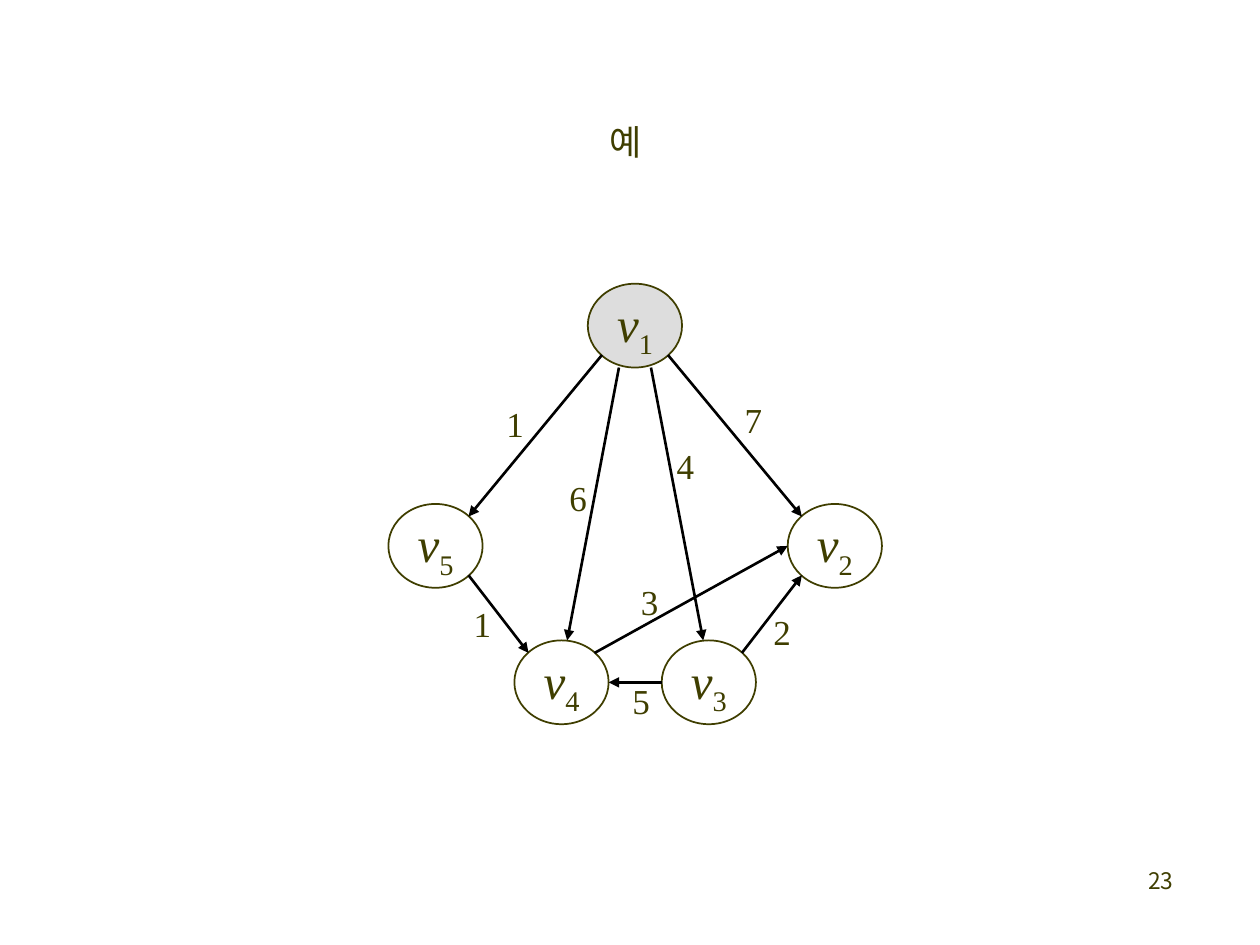
from dataclasses import dataclass

from pptx import Presentation
from pptx import util as u
from pptx.dml.color import RGBColor
from pptx.enum import shapes, text
from pptx.oxml import ns, xmlchemy


@dataclass(frozen=True)
class Theme:
    ink: RGBColor = RGBColor(0x3F, 0x3E, 0x00)
    edge: RGBColor = RGBColor(0, 0, 0)
    source: RGBColor = RGBColor(0xDD, 0xDD, 0xDD)
    serif: str = "Times New Roman"
    sans: str = "Noto Sans CJK KR"
    title_size: int = 20
    node_size: int = 28
    weight_size: int = 20
    number_size: int = 13


THEME = Theme()
NODE_WIDTH, NODE_HEIGHT = 1.9, 1.69
NODES = {  # left and top in cm
    1: (11.85, 5.72),
    2: (15.88, 10.16),
    3: (13.34, 12.91),
    4: (10.37, 12.91),
    5: (7.83, 10.16),
}
# Points on a node, as fractions of its width and height
NEAR, FAR = 0.15, 0.85
TOP_LEFT, TOP_RIGHT = (NEAR, NEAR), (FAR, NEAR)
BOTTOM_LEFT, BOTTOM_RIGHT = (NEAR, FAR), (FAR, FAR)
LEFT, RIGHT = (0, 0.5), (1, 0.5)
EDGES = [  # from node, its point, to node, its point, weight, weight position
    (1, BOTTOM_RIGHT, 2, TOP_LEFT, "7", (14.76, 8.0)),
    (1, BOTTOM_LEFT, 5, TOP_RIGHT, "1", (9.96, 8.08)),
    (5, BOTTOM_RIGHT, 4, TOP_LEFT, "1", (9.3, 12.12)),
    (3, TOP_RIGHT, 2, BOTTOM_LEFT, "2", (15.34, 12.27)),
    (3, LEFT, 4, RIGHT, "5", (12.5, 13.67)),
    (1, (0.33, 1), 4, (0.56, 0), "6", (11.23, 9.58)),
    (1, (0.67, 1), 3, (0.44, 0), "4", (13.39, 8.94)),
    (4, TOP_RIGHT, 2, LEFT, "3", (12.67, 11.68)),
]


def style_run(run, size, font=THEME.serif):
    run.font.size = u.Pt(size)
    run.font.name = font
    run.font.color.rgb = THEME.ink
    east_asian = xmlchemy.OxmlElement("a:ea")
    east_asian.set("typeface", THEME.sans)
    run.font._element.find(ns.qn("a:latin")).addnext(east_asian)


def add_text(slide, box, content, size, alignment, font=THEME.serif):
    shape = slide.shapes.add_textbox(*map(u.Cm, box))
    frame = shape.text_frame
    frame.text = content
    frame.word_wrap = True
    paragraph = frame.paragraphs[0]
    paragraph.alignment = alignment
    style_run(paragraph.runs[0], size, font)
    return frame


def add_label(slide, box, content, size):
    """Add a tight label that grows with its text."""
    frame = add_text(slide, box, content, size, text.PP_ALIGN.LEFT)
    frame.word_wrap = False
    frame.auto_size = text.MSO_AUTO_SIZE.SHAPE_TO_FIT_TEXT
    paragraph = frame.paragraphs[0]
    paragraph.line_spacing = 0.9
    paragraph.space_before = u.Pt(size * 0.2)
    return paragraph


def add_node(slide, number):
    left, top = NODES[number]
    shape = slide.shapes.add_shape(
        shapes.MSO_SHAPE.OVAL, *map(u.Cm, (left, top, NODE_WIDTH, NODE_HEIGHT)))
    shape.shadow.inherit = False
    shape.line.color.rgb = THEME.ink
    shape.line.width = u.Pt(1)
    if number == 1:
        shape.fill.solid()
        shape.fill.fore_color.rgb = THEME.source
    else:
        shape.fill.background()

    box = (left + 0.34, top + 0.09, 1.3, 1.32)
    paragraph = add_label(slide, box, "v", THEME.node_size)
    paragraph.runs[0].font.italic = True
    subscript = paragraph.add_run()
    subscript.text = str(number)
    style_run(subscript, THEME.node_size)
    subscript.font._element.set("baseline", "-25000")


def node_point(number, fraction):
    left, top = NODES[number]
    across, down = fraction
    return u.Cm(left + across * NODE_WIDTH), u.Cm(top + down * NODE_HEIGHT)


def add_arrow(slide, start, end):
    connector = slide.shapes.add_connector(
        shapes.MSO_CONNECTOR.STRAIGHT, *start, *end)
    connector.line.color.rgb = THEME.edge
    connector.line.width = u.Pt(1.5)
    arrowhead = xmlchemy.OxmlElement("a:tailEnd")
    arrowhead.set("type", "triangle")
    connector.line._get_or_add_ln().append(arrowhead)
    connector._element.spPr.append(xmlchemy.OxmlElement("a:effectLst"))


def main():
    presentation = Presentation()
    presentation.slide_width, presentation.slide_height = u.Cm(25.4), u.Cm(19.05)
    slide = presentation.slides.add_slide(presentation.slide_layouts[6])

    title = add_text(slide, (1.9, 1.7, 21.59, 2.29), "예 ", THEME.title_size,
                     text.PP_ALIGN.CENTER)
    title.vertical_anchor = text.MSO_ANCHOR.MIDDLE
    add_text(slide, (18.62, 17.35, 5.28, 1.27), "23", THEME.number_size,
             text.PP_ALIGN.RIGHT, THEME.sans)

    for number in NODES:
        add_node(slide, number)
    for tail, tail_point, head, head_point, _, _ in EDGES:
        add_arrow(slide, node_point(tail, tail_point), node_point(head, head_point))
    for *_, weight, position in EDGES:
        add_label(slide, (*position, 0.86, 1.02), weight, THEME.weight_size)

    presentation.save("out.pptx")


if __name__ == "__main__":
    main()
